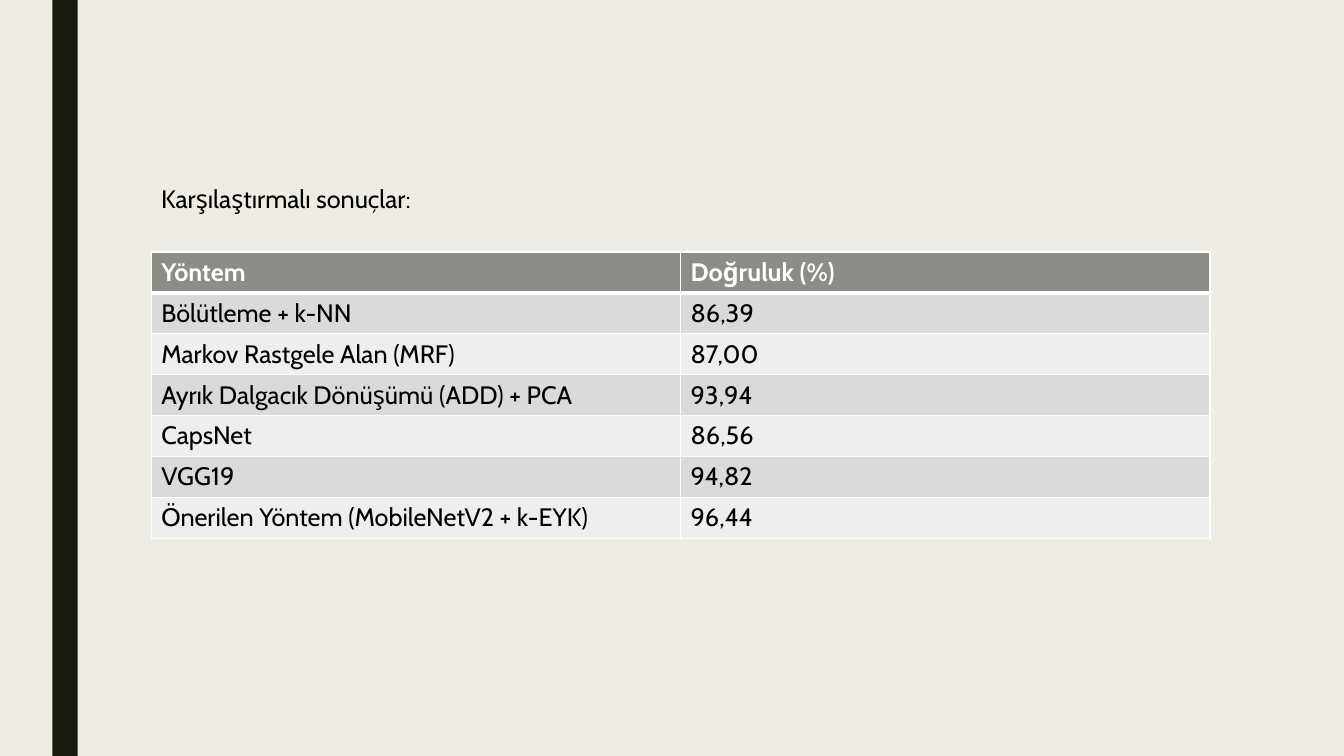
from lxml import etree
from pptx import Presentation
from pptx.dml.color import RGBColor
from pptx.enum import shapes, text
from pptx.oxml import ns
from pptx.util import Inches, Pt

COLOURS = {
    "background": "EFEDE3",
    "stripe": "191B0E",
    "header": "8C8D86",
    "odd_row": "DADBD9",
    "even_row": "EEEEED",
    "white": "FFFFFF",
    "black": "000000",
}
WIDTH, HEIGHT = Inches(13.33), Inches(7.5)
LEFT = Inches(1.5)
COLUMN = Inches(5.25)
ROW = Inches(2.84 / 7)

RESULTS = [
    ("Yöntem", "Doğruluk (%)"),
    ("Bölütleme + k-NN", "86,39"),
    ("Markov Rastgele Alan (MRF)", "87,00"),
    ("Ayrık Dalgacık Dönüşümü (ADD) + PCA", "93,94"),
    ("CapsNet", "86,56"),
    ("VGG19", "94,82"),
    ("Önerilen Yöntem (MobileNetV2 + k-EYK)", "96,44"),
]


def colour(name):
    return RGBColor.from_string(COLOURS[name])


def paint(fill, name):
    fill.solid()
    fill.fore_color.rgb = colour(name)


def write(frame, words, ink, bold=False):
    span = frame.paragraphs[0].add_run()
    span.text = words
    font_format = {"name": "Cabin", "size": Pt(18), "bold": bold}
    for attribute, value in font_format.items():
        setattr(span.font, attribute, value)
    span.font.color.rgb = colour(ink)


def add_borders(cell, top, bottom):
    """White cell borders; widths in points."""
    properties = cell._tc.get_or_add_tcPr()
    widths = {"lnL": 1, "lnR": 1, "lnT": top, "lnB": bottom}
    for index, (side, width) in enumerate(widths.items()):
        line = etree.Element(ns.qn(f"a:{side}"), w=str(Pt(width)))
        solid = etree.SubElement(line, ns.qn("a:solidFill"))
        etree.SubElement(solid, ns.qn("a:srgbClr"), val=COLOURS["white"])
        properties.insert(index, line)


def add_stripe(page):
    stripe = page.shapes.add_shape(
        shapes.MSO_SHAPE.RECTANGLE, Inches(0.52), 0, Inches(0.25), HEIGHT)
    stripe.shadow.inherit = False
    paint(stripe.fill, "stripe")
    stripe.line.fill.background()


def add_caption(page, words):
    box = page.shapes.add_textbox(LEFT, Inches(1.77), Inches(2.77), Inches(0.4))
    frame_format = {"word_wrap": False,
                    "auto_size": text.MSO_AUTO_SIZE.SHAPE_TO_FIT_TEXT}
    for attribute, value in frame_format.items():
        setattr(box.text_frame, attribute, value)
    write(box.text_frame, words, "black")


def add_results(page, results):
    rows, columns = len(results), len(results[0])
    table = page.shapes.add_table(
        rows, columns, LEFT, Inches(2.5), columns * COLUMN, rows * ROW).table
    for row, values in enumerate(results):
        is_header = row == 0
        band = "header" if is_header else ("even_row", "odd_row")[row % 2]
        for column, words in enumerate(values):
            cell = table.cell(row, column)
            paint(cell.fill, band)
            # A thick rule separates the header from the body
            add_borders(cell, top=3 if row == 1 else 1,
                        bottom=3 if is_header else 1)
            write(cell.text_frame, words,
                  "white" if is_header else "black", is_header)
    table.cell(rows - 1, columns - 1).vertical_anchor = text.MSO_ANCHOR.MIDDLE


def main():
    deck = Presentation()
    deck.slide_width, deck.slide_height = WIDTH, HEIGHT
    page = deck.slides.add_slide(deck.slide_layouts[6])
    paint(page.background.fill, "background")

    add_stripe(page)
    add_results(page, RESULTS)
    add_caption(page, "Karşılaştırmalı sonuçlar:")

    deck.save("out.pptx")


if __name__ == "__main__":
    main()
